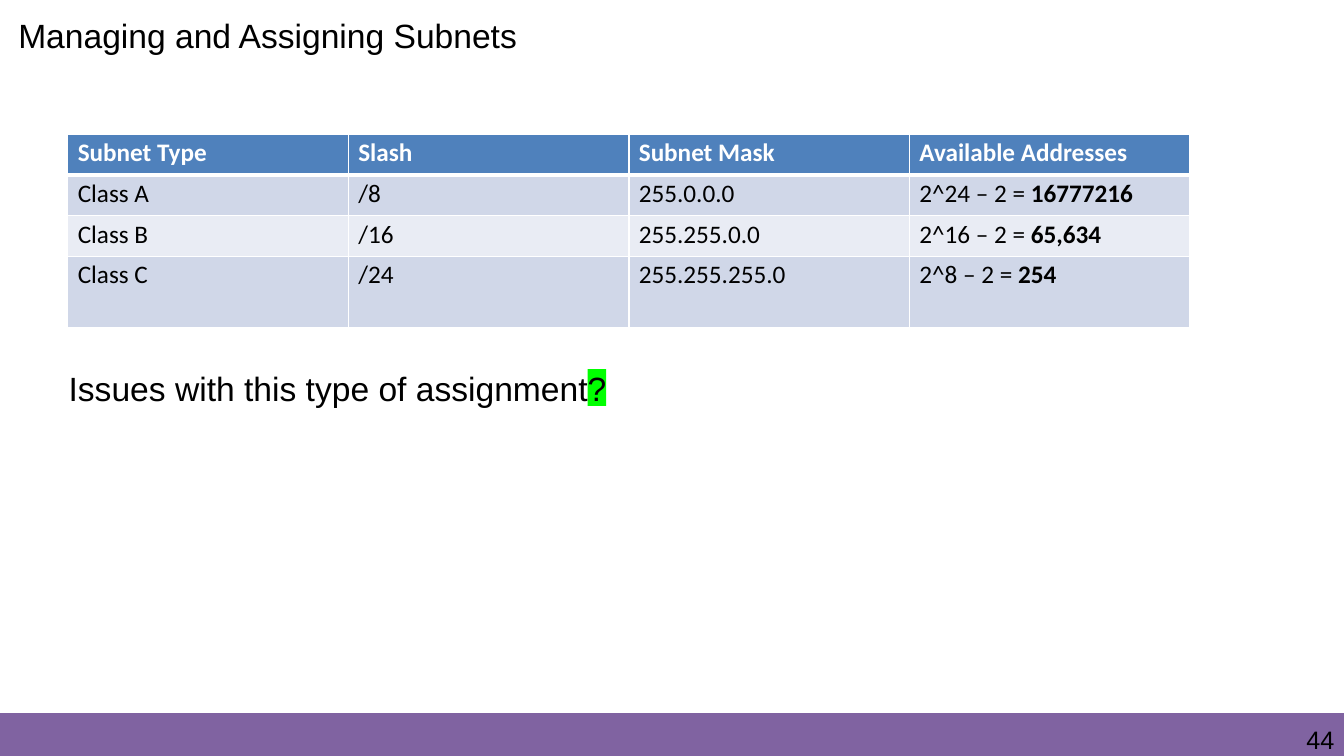
from lxml.etree import SubElement
from pptx import Presentation
from pptx.dml.color import RGBColor
from pptx.enum.shapes import MSO_SHAPE
from pptx.enum.text import MSO_ANCHOR, PP_ALIGN
from pptx.oxml.ns import qn
from pptx.util import Cm, Pt

INK = {
    "band": "8063A1",
    "head": "4F81BC",
    "odd": "D0D7E8",
    "even": "E9ECF4",
    "mark": "00FF00",
    "text": "000000",
    "white": "FFFFFF",
}
ROWS = [
    ["Subnet Type", "Slash", "Subnet Mask", "Available Addresses"],
    ["Class A", "/8", "255.0.0.0", "2^24 – 2 = |16777216"],
    ["Class B", "/16", "255.255.0.0", "2^16 – 2 = |65,634"],
    ["Class C", "/24", "255.255.255.0", "2^8 – 2 = |254"],
]


def tint(name):
    return RGBColor.from_string(INK[name])


def style(run, size, face="Arial", color="text", bold=False):
    run.font.size = Pt(size)
    run.font.name = face
    run.font.color.rgb = tint(color)
    run.font.bold = bold


def place(shape, left, top, width, height):
    shape.left, shape.top = Cm(left), Cm(top)
    shape.width, shape.height = Cm(width), Cm(height)


def write(shape, text, size, left=0, top=0.1):
    frame = shape.text_frame
    frame.word_wrap = True
    frame.vertical_anchor = MSO_ANCHOR.TOP
    frame.margin_left, frame.margin_top = Cm(left), Cm(top)
    frame.margin_right = frame.margin_bottom = 0
    frame.text = text
    para = frame.paragraphs[0]
    para.alignment = PP_ALIGN.LEFT
    style(para.runs[0], size)


def label(slide, text, size, box, left, top=0.1):
    shape = slide.shapes.add_textbox(*map(Cm, box))
    write(shape, text, size, left, top)


def block(slide, color, box):
    shape = slide.shapes.add_shape(MSO_SHAPE.RECTANGLE, *map(Cm, box))
    shape.shadow.inherit = False
    shape.fill.solid()
    shape.fill.fore_color.rgb = tint(color)
    shape.line.fill.background()


def border(cell, top, bottom):
    props = cell._tc.get_or_add_tcPr()
    sides = {"lnL": 1, "lnR": 1, "lnT": top, "lnB": bottom}
    for spot, (side, width) in enumerate(sides.items()):
        line = props.makeelement(qn(f"a:{side}"), {"w": str(Pt(width))})
        fill = SubElement(line, qn("a:solidFill"))
        SubElement(fill, qn("a:srgbClr"), val=INK["white"])
        props.insert(spot, line)


def fill_cell(cell, text, row):
    head = row == 0
    cell.margin_left, cell.margin_top = Cm(0.25), Cm(0.08)
    cell.margin_right = cell.margin_bottom = 0
    cell.fill.solid()
    cell.fill.fore_color.rgb = tint("head" if head else "odd" if row % 2 else "even")
    border(cell, 3 if row == 1 else 1, 3 if head else 1)
    para = cell.text_frame.paragraphs[0]
    for spot, part in enumerate(text.split("|")):
        run = para.add_run()
        run.text = part
        style(run, 18, "Calibri", "white" if head else "text", head or spot == 1)


def grid(slide, rows, box, heights):
    shape = slide.shapes.add_table(len(rows), len(rows[0]), *map(Cm, box))
    table = shape.table
    for row, texts in enumerate(rows):
        table.rows[row].height = Cm(heights[row])
        for col, text in enumerate(texts):
            fill_cell(table.cell(row, col), text, row)


def main():
    deck = Presentation()
    deck.slide_width, deck.slide_height = Cm(33.87), Cm(19.05)
    slide = deck.slides.add_slide(deck.slide_layouts[5])
    title = slide.shapes.title
    place(title, 0.28, 0.28, 15.62, 1.24)
    write(title, "Managing and Assigning Subnets", 24, 0.18)
    block(slide, "band", (0, 17.97, 33.87, 1.08))
    grid(slide, ROWS, (1.71, 3.38, 28.28, 4.85), [1.03, 1.03, 1.03, 1.78])
    block(slide, "mark", (14.81, 9.3, 0.47, 0.93))
    label(slide, "Issues with this type of assignment?", 24, (1.7, 9.17, 14, 1.1), 0.03)
    label(slide, "44", 18, (32.82, 18.16, 0.97, 0.79), 0.1, 0.08)
    deck.save("out.pptx")


if __name__ == "__main__":
    main()
